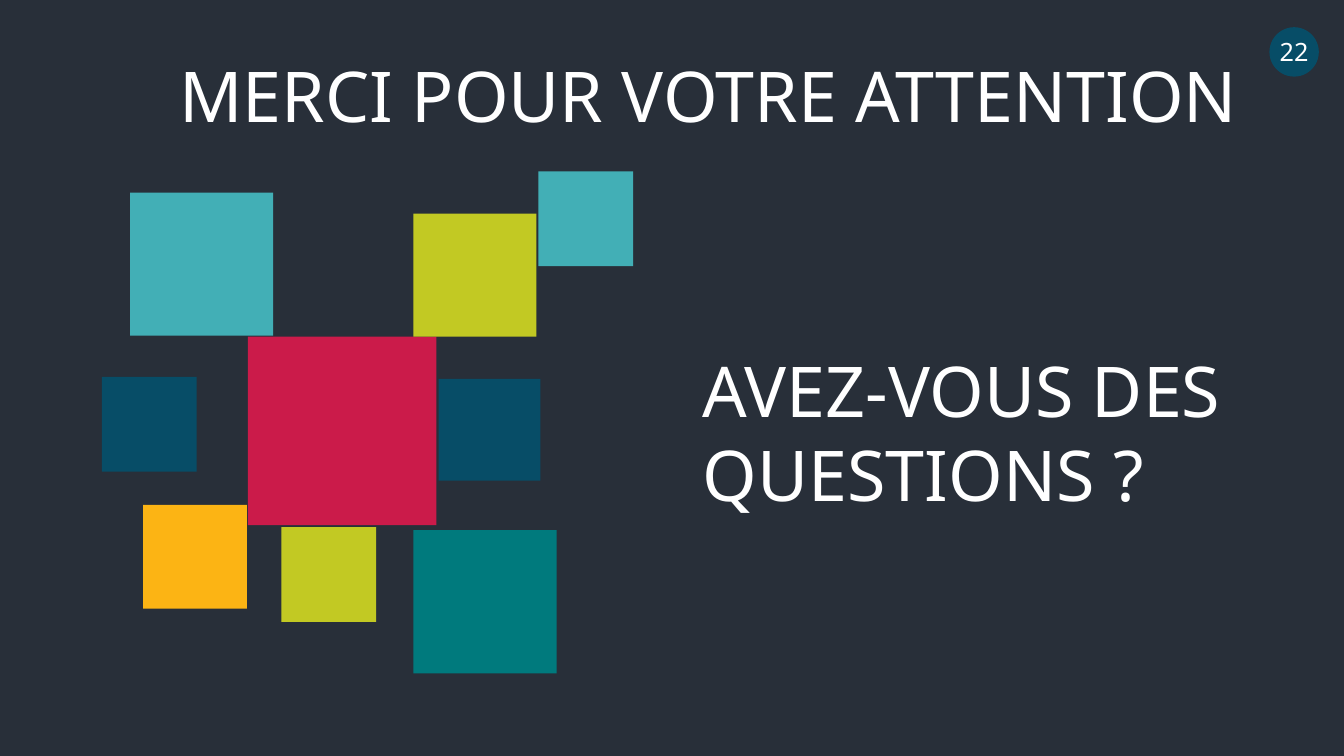
from pptx import Presentation
from pptx.dml.color import RGBColor
from pptx.enum.shapes import MSO_SHAPE as SHAPE
from pptx.enum.text import MSO_ANCHOR as ANCHOR, MSO_AUTO_SIZE as AUTO, PP_ALIGN as ALIGN
from pptx.util import Inches, Pt

FONT = "Noto Sans"
WHITE, DARK, NAVY = "FFFFFF", "282F39", "074D67"
RED, AQUA, LIME, AMBER, TEAL = "CB1B4A", "42AFB6", "C2C923", "FCB414", "007A7D"

TITLE = "MERCI POUR VOTRE ATTENTION"
QUESTION = "AVEZ-VOUS DES QUESTIONS ?"
PAGE = "22"
SQUARES = [
    (2.46, 3.34, 1.87, RED),
    (1.29, 1.91, 1.42, AQUA),
    (4.1, 2.12, 1.22, LIME),
    (1.42, 5.01, 1.03, AMBER),
    (4.1, 5.26, 1.42, TEAL),
    (5.34, 1.7, 0.94, AQUA),
    (1.01, 3.74, 0.94, NAVY),
    (2.79, 5.23, 0.94, LIME),
    (4.35, 3.76, 1.01, NAVY),
]


def rgb(color):
    return RGBColor.from_string(color)


def add_solid(s, kind, x, y, size, color):
    sp = s.shapes.add_shape(kind, Inches(x), Inches(y), Inches(size), Inches(size))
    sp.shadow.inherit = False
    sp.fill.solid()
    sp.fill.fore_color.rgb = rgb(color)
    sp.line.fill.background()
    return sp


def write(sp, text, size, align=ALIGN.LEFT, anchor=ANCHOR.TOP, wrap=True):
    tf = sp.text_frame
    tf.auto_size = AUTO.NONE
    tf.word_wrap = wrap
    tf.vertical_anchor = anchor
    p = tf.paragraphs[0]
    p.alignment = align
    p.line_spacing = 1.0
    p.space_before = Pt(0)
    r = p.add_run()
    r.text = text
    r.font.name = FONT
    r.font.size = Pt(size)
    r.font.color.rgb = rgb(WHITE)


prs = Presentation()
prs.slide_width, prs.slide_height = Inches(13.33), Inches(7.5)
s = prs.slides.add_slide(prs.slide_layouts[5])
s.background.fill.solid()
s.background.fill.fore_color.rgb = rgb(DARK)

title = s.shapes.title
title.left, title.top = Inches(1.68), Inches(0.47)
title.width, title.height = Inches(11.77), Inches(0.94)
write(title, TITLE, 50)

badge = add_solid(s, SHAPE.OVAL, 12.59, 0.27, 0.49, NAVY)
write(badge, PAGE, 18, ALIGN.CENTER, ANCHOR.MIDDLE, wrap=False)

for x, y, size, color in SQUARES:
    add_solid(s, SHAPE.RECTANGLE, x, y, size, color)

question = s.shapes.add_textbox(Inches(6.87), Inches(3.4), Inches(6.21), Inches(1.78))
write(question, QUESTION, 50)

prs.save("out.pptx")
